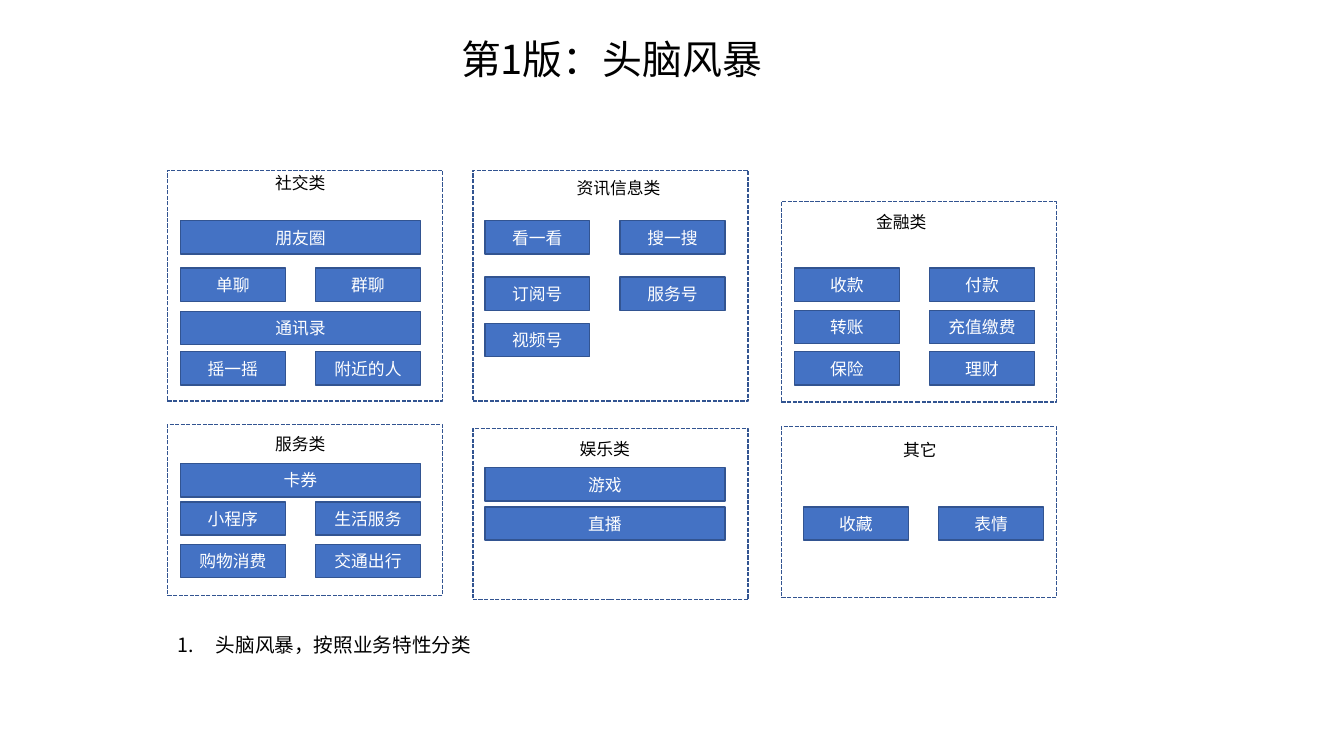
from lxml import etree
from pptx import Presentation
from pptx.dml.color import RGBColor
from pptx.enum.dml import MSO_LINE
from pptx.enum.shapes import MSO_SHAPE
from pptx.enum.text import MSO_ANCHOR, MSO_AUTO_SIZE, PP_ALIGN
from pptx.oxml.ns import qn
from pptx.util import Inches, Pt

RECT = MSO_SHAPE.RECTANGLE
DASH = MSO_LINE.SQUARE_DOT
MIDDLE, BOTTOM = MSO_ANCHOR.MIDDLE, MSO_ANCHOR.BOTTOM
LEFT, CENTER = PP_ALIGN.LEFT, PP_ALIGN.CENTER
NO_FIT = MSO_AUTO_SIZE.NONE

FONT = "Noto Sans CJK SC"
WHITE, BLACK, BLUE, NAVY = "FFFFFF", "000000", "4472C4", "325491"
PANEL_W, ITEM_W, ITEM_H, COLUMN_STEP = 2.73, 1.04, 0.33, 1.34
WIDE_W = COLUMN_STEP + ITEM_W

CATEGORIES = [
    ("社交类", (2.63, 1.66, 0.71), (1.66, 1.69, 2.29), 1.79,
     [(2.19, ["朋友圈"]), (2.66, ["单聊", "群聊"]),
      (3.09, ["通讯录"]), (3.49, ["摇一摇", "附近的人"])], True),
    ("资讯信息类", (5.62, 1.71, 1.04), (4.69, 1.69, 2.29), 4.81,
     [(2.19, ["看一看", "搜一搜"]), (2.75, ["订阅号", "服务号"]),
      (3.21, ["视频号"])], False),
    ("金融类", (8.59, 2.05, 0.71), (7.75, 2, 1.99), 7.88,
     [(2.66, ["收款", "付款"]), (3.08, ["转账", "充值缴费"]),
      (3.49, ["保险", "理财"])], False),
    ("服务类", (2.63, 4.25, 0.71), (1.66, 4.21, 1.7), 1.79,
     [(4.6, ["卡券"]), (4.98, ["小程序", "生活服务"]),
      (5.4, ["购物消费", "交通出行"])], True),
    ("娱乐类", (5.65, 4.3, 0.7), (4.69, 4.25, 1.7), 4.81,
     [(4.64, ["游戏"]), (5.03, ["直播"])], True),
    ("其它", (8.86, 4.31, 0.54), (7.75, 4.23, 1.7), 7.97,
     [(5.03, ["收藏", "表情"])], False),
]


def rgb(value):
    return RGBColor.from_string(value)


def write(sp, text, size, color, align=LEFT):
    tf = sp.text_frame
    tf.text = text
    p = tf.paragraphs[0]
    p.alignment = align
    p.font.size = Pt(size)
    p.font.name = FONT
    p.font.color.rgb = rgb(color)
    latin = p._p.pPr.find(qn("a:defRPr")).find(qn("a:latin"))
    ea = etree.Element(qn("a:ea"), typeface=FONT)
    latin.addnext(ea)
    return p


def place(sp, x, y, w, h):
    sp.left, sp.top, sp.width, sp.height = map(Inches, (x, y, w, h))


def add_box(slide, x, y, w, h, fill):
    sp = slide.shapes.add_shape(RECT, *map(Inches, (x, y, w, h)))
    sp.shadow.inherit = False
    sp.fill.solid()
    sp.fill.fore_color.rgb = rgb(fill)
    sp.line.color.rgb = rgb(NAVY)
    sp.line.width = Pt(1)
    return sp


def add_item(slide, x, y, w, text):
    sp = add_box(slide, x, y, w, ITEM_H, BLUE)
    sp.text_frame.vertical_anchor = MIDDLE
    write(sp, text, 12, WHITE, CENTER)


def add_heading(slide, x, y, w, text):
    sp = slide.shapes.add_textbox(*map(Inches, (x, y, w, 0.3)))
    sp.text_frame.word_wrap = False
    write(sp, text, 12, BLACK)


def add_category(slide, name, heading, panel, item_x, rows, stretch):
    x, y, h = panel
    add_box(slide, x, y, PANEL_W, h, WHITE).line.dash_style = DASH
    add_heading(slide, *heading, name)
    for row_y, labels in rows:
        w = WIDE_W if stretch and len(labels) == 1 else ITEM_W
        for i, label in enumerate(labels):
            add_item(slide, item_x + i * COLUMN_STEP, row_y, w, label)


def set_title(slide, text):
    sp = slide.shapes.title
    place(sp, 1.66, 0.4, 8.81, 0.46)
    sp.text_frame.auto_size = NO_FIT
    sp.text_frame.vertical_anchor = BOTTOM
    p = write(sp, text, 28.5, BLACK, CENTER)
    p.line_spacing = 0.7


def set_numbered_list(slide, text):
    sp = slide.placeholders[1]
    place(sp, 1.66, 6.23, 3.24, 0.34)
    sp.text_frame.auto_size = NO_FIT
    sp.text_frame.word_wrap = False
    p = write(sp, text, 14, BLACK)
    p.space_before = Pt(0)
    pPr = p._p.pPr
    pPr.set("marL", str(Inches(0.38)))
    pPr.set("indent", str(Inches(-0.38)))
    number = etree.Element(qn("a:buAutoNum"), type="arabicPeriod")
    pPr.find(qn("a:defRPr")).addprevious(number)


def main():
    prs = Presentation()
    prs.slide_width, prs.slide_height = Inches(13.33), Inches(7.5)
    slide = prs.slides.add_slide(prs.slide_layouts[1])
    set_title(slide, "第1版：头脑风暴")
    for category in CATEGORIES:
        add_category(slide, *category)
    set_numbered_list(slide, "头脑风暴，按照业务特性分类")
    prs.save("out.pptx")


main()
